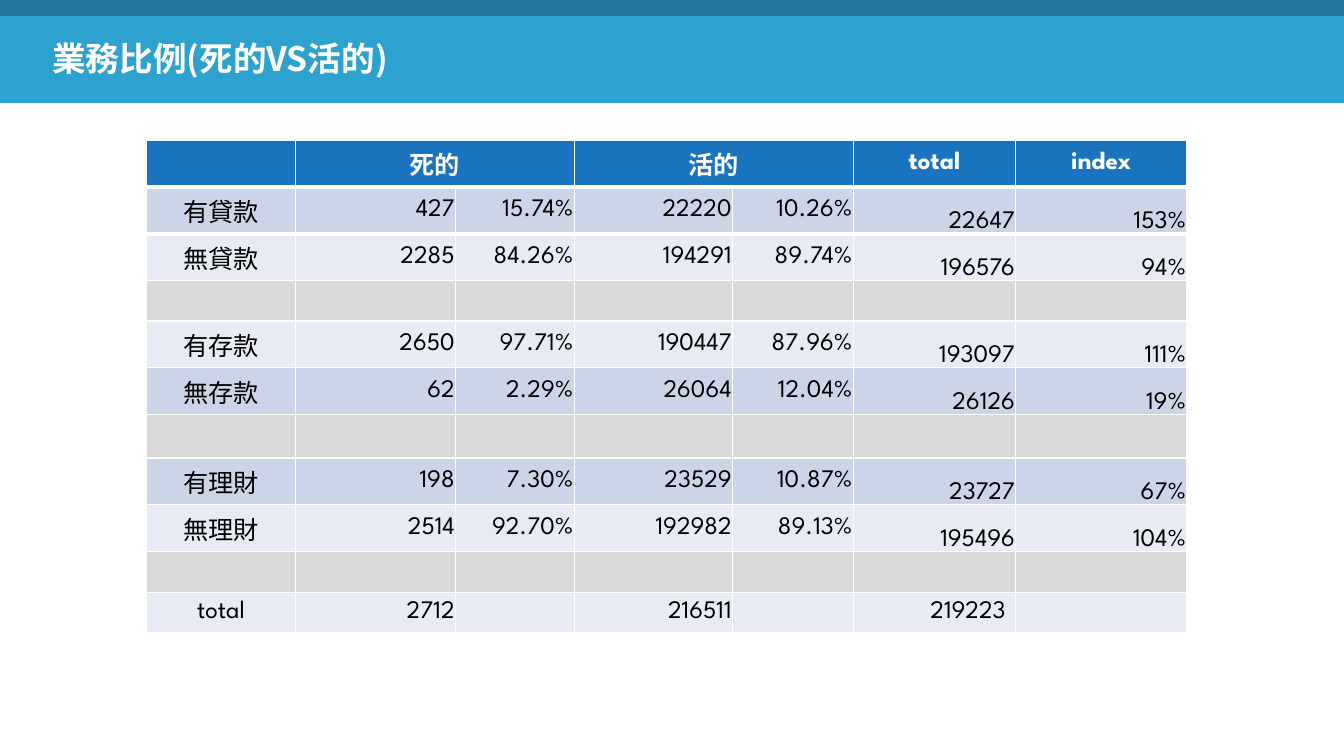
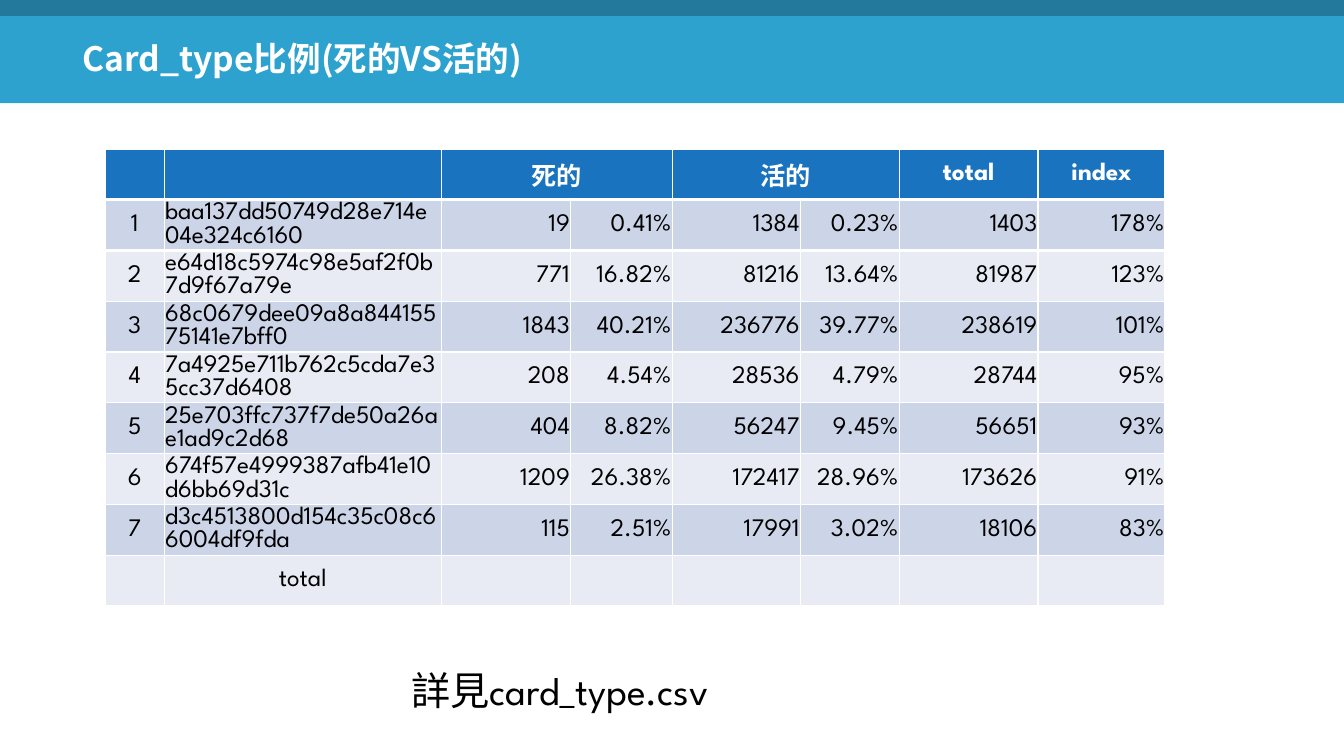
from lxml import etree
from pptx import Presentation
from pptx.dml.color import RGBColor
from pptx.enum.shapes import MSO_SHAPE
from pptx.enum.text import MSO_ANCHOR, PP_ALIGN
from pptx.oxml.ns import qn
from pptx.util import Cm, Pt

RECT = MSO_SHAPE.RECTANGLE
LEFT, CENTER, RIGHT = PP_ALIGN.LEFT, PP_ALIGN.CENTER, PP_ALIGN.RIGHT
MIDDLE, BOTTOM = MSO_ANCHOR.MIDDLE, MSO_ANCHOR.BOTTOM

WIDTH, HEIGHT = 33.87, 19.05
COLORS = {
    "band": "2EA2CF",
    "strip": "23799B",
    "header": "1973BF",
    "odd": "CCD5E8",
    "even": "E8EBF4",
    "gap": "D9D9D9",
    "light": "FFFFFF",
    "dark": "000000",
}
TITLE_FONT = "Noto Sans CJK SC"
BODY_FONT = "League Spartan"

CELL_FORMATS = {
    "l": (LEFT, MIDDLE, True),
    "c": (CENTER, MIDDLE, False),
    "n": (CENTER, MIDDLE, True),
    "r": (RIGHT, MIDDLE, True),
    "b": (RIGHT, BOTTOM, True),
    "p": (RIGHT, MIDDLE, False),
}

BUSINESS_ROWS = [
    ["", "死的", None, "活的", None, "total", "index"],
    ["有貸款", "427", "15.74%", "22220", "10.26%", "22647", "153%"],
    ["無貸款", "2285", "84.26%", "194291", "89.74%", "196576", "94%"],
    [""] * 7,
    ["有存款", "2650", "97.71%", "190447", "87.96%", "193097", "111%"],
    ["無存款", "62", "2.29%", "26064", "12.04%", "26126", "19%"],
    [""] * 7,
    ["有理財", "198", "7.30%", "23529", "10.87%", "23727", "67%"],
    ["無理財", "2514", "92.70%", "192982", "89.13%", "195496", "104%"],
    [""] * 7,
    ["total", "2712", "", "216511", "", "219223", ""],
]
BUSINESS_WIDTHS = [3.74, 4.04, 2.99, 3.99, 3.04, 4.1, 4.31]
BUSINESS_HEIGHTS = [1.17, 1.18, 1.18, 1.02, 1.18, 1.18, 1.09, 1.18, 1.18, 1.02, 1.02]

CARD_ROWS = [
    ["", "", "死的", None, "活的", None, "total", "index"],
    ["1", "baa137dd50749d28e714e04e324c6160", "19", "0.41%", "1384", "0.23%", "1403", "178%"],
    ["2", "e64d18c5974c98e5af2f0b7d9f67a79e", "771", "16.82%", "81216", "13.64%", "81987", "123%"],
    ["3", "68c0679dee09a8a84415575141e7bff0", "1843", "40.21%", "236776", "39.77%", "238619", "101%"],
    ["4", "7a4925e711b762c5cda7e35cc37d6408", "208", "4.54%", "28536", "4.79%", "28744", "95%"],
    ["5", "25e703ffc737f7de50a26ae1ad9c2d68", "404", "8.82%", "56247", "9.45%", "56651", "93%"],
    ["6", "674f57e4999387afb41e10d6bb69d31c", "1209", "26.38%", "172417", "28.96%", "173626", "91%"],
    ["7", "d3c4513800d154c35c08c66004df9fda", "115", "2.51%", "17991", "3.02%", "18106", "83%"],
    ["", "total"] + [""] * 6,
]
CARD_WIDTHS = [1.49, 6.98, 3.26, 2.56, 3.23, 2.49, 3.5, 3.2]
CARD_HEIGHTS = [1.26] + [1.28] * 7 + [1.26]


def rgb(name):
    return RGBColor.from_string(COLORS[name])


class Deck:
    def __init__(self):
        self.prs = Presentation()
        self.prs.slide_width, self.prs.slide_height = Cm(WIDTH), Cm(HEIGHT)
        self.s = None

    def slide(self, title, title_left):
        self.s = self.prs.slides.add_slide(self.prs.slide_layouts[6])
        self.band(2.6, "band")
        self.band(0.4, "strip")
        p = self.text(title, title_left, 0.74, 14.73, 1.47, 24, "light", TITLE_FONT, True, MIDDLE)
        p.space_before = Pt(10)

    def band(self, height, color):
        sp = self.s.shapes.add_shape(RECT, 0, 0, Cm(WIDTH), Cm(height))
        sp.shadow.inherit = False
        sp.fill.solid()
        sp.fill.fore_color.rgb = rgb(color)
        sp.line.fill.background()

    def style(self, p, size, color, font=BODY_FONT, bold=False):
        for r in p.runs:
            r.font.size = Pt(size)
            r.font.bold = bold
            r.font.color.rgb = rgb(color)
            r.font.name = font
            if not r.text.isascii():
                ea = etree.SubElement(r.font._element, qn("a:ea"))
                ea.set("typeface", TITLE_FONT)

    def text(self, text, left, top, width, height, size, color,
             font=BODY_FONT, bold=False, anchor=None):
        sp = self.s.shapes.add_textbox(Cm(left), Cm(top), Cm(width), Cm(height))
        tf = sp.text_frame
        tf.word_wrap = True
        tf.vertical_anchor = anchor
        tf.text = text
        p = tf.paragraphs[0]
        self.style(p, size, color, font, bold)
        return p

    def note(self, text, left, top, width, height):
        p = self.text(text, left, top, width, height, 28, "dark")
        p.line_spacing = 1.3
        p.space_before = Pt(6)

    def border(self, cell, side, width):
        ln = etree.Element(qn("a:" + side), w=str(Pt(width)))
        fill = etree.SubElement(ln, qn("a:solidFill"))
        etree.SubElement(fill, qn("a:srgbClr"), val=COLORS["light"])
        cell._tc.get_or_add_tcPr().insert(0, ln)

    def cell(self, cell, text, fill, color, fmt, bold):
        align, anchor, tight = CELL_FORMATS[fmt]
        cell.fill.solid()
        cell.fill.fore_color.rgb = rgb(fill)
        cell.vertical_anchor = anchor
        if tight:
            cell.margin_left = cell.margin_right = cell.margin_top = Cm(0.02)
            cell.margin_bottom = 0
        if text:
            p = cell.text_frame.paragraphs[0]
            p.text = text
            p.alignment = align
            if fmt == "l":
                p.line_spacing = Pt(16.6)
            self.style(p, 18, color, bold=bold)

    def table(self, rows, left, top, widths, heights, body_format, total_format):
        table = self.s.shapes.add_table(
            len(rows), len(widths), Cm(left), Cm(top), Cm(sum(widths)), Cm(sum(heights))).table
        for column, width in zip(table.columns, widths):
            column.width = Cm(width)
        for row, height in zip(table.rows, heights):
            row.height = Cm(height)
        for i, row in enumerate(rows):
            header = i == 0
            if header:
                fill, formats = "header", "c" * len(widths)
            else:
                fill = ("odd" if i % 2 else "even") if any(row) else "gap"
                formats = total_format if i == len(rows) - 1 else body_format
            for j, text in enumerate(row):
                cell = table.cell(i, j)
                self.cell(cell, text, fill, "light" if header else "dark", formats[j], header)
                if i < 2:
                    self.border(cell, "lnB" if header else "lnT", 3)
                if text is None:
                    table.cell(i, j - 1).merge(cell)


def main():
    deck = Deck()
    deck.slide("業務比例(死的VS活的)", 1.07)
    deck.table(BUSINESS_ROWS, 3.7, 3.54, BUSINESS_WIDTHS, BUSINESS_HEIGHTS, "crrrrbb", "crrrrpp")
    deck.slide("Card_type比例(死的VS活的)", 1.83)
    deck.table(CARD_ROWS, 2.65, 3.77, CARD_WIDTHS, CARD_HEIGHTS, "nlrrrrrr", "cccccccc")
    deck.note("詳見card_type.csv", 10.11, 16.31, 14.38, 1.8)
    deck.prs.save("out.pptx")


if __name__ == "__main__":
    main()
